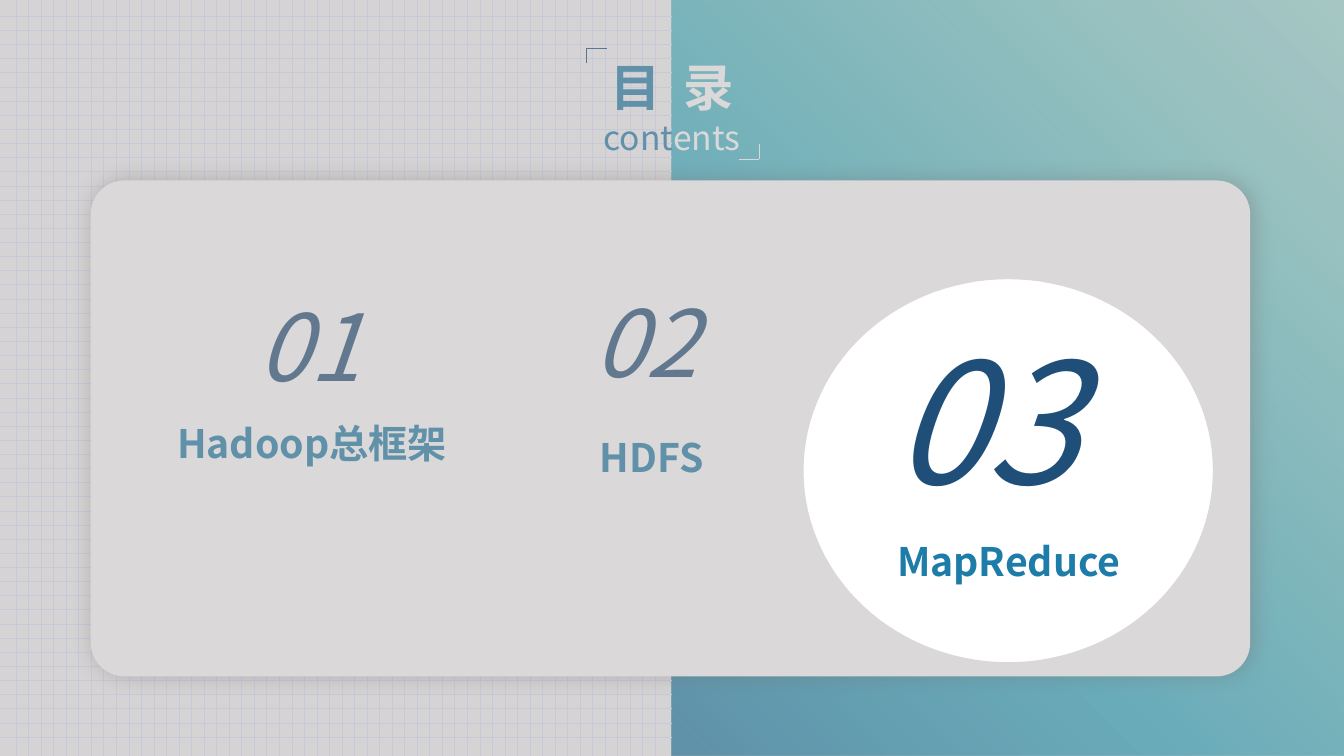
from dataclasses import dataclass
from math import cos, pi, sin

from lxml.etree import SubElement
from pptx import Presentation
from pptx.dml.color import RGBColor
from pptx.enum.shapes import MSO_CONNECTOR as Connector, MSO_SHAPE as Shape
from pptx.enum.text import MSO_AUTO_SIZE as AutoSize, PP_ALIGN as Align
from pptx.oxml.ns import qn
from pptx.util import Inches, Pt


@dataclass(frozen=True)
class Theme:
    font: str = "Noto Sans CJK SC"
    paper: str = "F7F5F6"
    grid: str = "D9E3FF"
    white: str = "FFFFFF"
    blue: str = "1E7CA8"
    navy: str = "1F4E79"
    corner: str = "0D4E81"
    veil: str = "AFABAB"
    shadow: str = "404040"
    title: int = 36
    subtitle: int = 24
    label: int = 28
    number: int = 66
    active_number: int = 120


theme = Theme()

# Content: runs with their colours, then number and label of each section
TITLE = [("目", theme.blue), (" ", theme.blue), ("录", theme.white)]
SUBTITLE = [("cont", theme.blue), ("ents", theme.white)]
SECTIONS = [  # number, number position, number size, label, label position
    ("01", (2.46, 2.82), theme.number, "Hadoop总框架", (1.44, 4.11)),
    ("02", (5.79, 2.78), theme.number, "HDFS", (4.81, 4.25)),
    ("03", (8.74, 3.09), theme.active_number, "MapReduce", (8.35, 5.28)),
]
GRADIENT = [(0, "80D6CE", 72), (32, "5CC5C9", 90), (65, "19A5C1", 89), (100, "1E7CA8", 100)]

# Layout in inches
WIDTH, HEIGHT = 13.33, 7.5
HALF = WIDTH / 2
GRID_COUNT, GRID_START = 52, 0.16
ROW_STEP, COLUMN_STEP = 7.15 / 51, 6.34 / 51
CARD = (0.9, 1.79, 11.5, 4.92)
TITLE_BOX = (4.56, 0.51, 4.21, 1.11)
CORNERS = [(5.82, 0.48, 1, theme.corner), (7.53, 1.58, -1, theme.white)]
SPOT_X, SPOT_Y, SPOT_RX, SPOT_RY = 10, 4.67, 2.03, 1.9
SPOT_POINTS = 120


def add_color(parent, color, opacity):
    element = SubElement(parent, qn("a:srgbClr"), val=color)
    SubElement(element, qn("a:alpha"), val=str(opacity * 1000))
    return element


def add_box(shapes, kind, at, color):
    shape = shapes.add_shape(kind, *map(Inches, at))
    shape.shadow.inherit = False
    shape.fill.solid()
    shape.fill.fore_color.rgb = RGBColor.from_string(color)
    shape.line.fill.background()
    return shape


def add_line(shapes, start, end, color, width):
    line = shapes.add_connector(Connector.STRAIGHT, *map(Inches, (*start, *end)))
    line.line.color.rgb = RGBColor.from_string(color)
    line.line.width = Pt(width)
    SubElement(line.element.spPr, qn("a:effectLst"))


def add_text_box(shapes, at):
    frame = shapes.add_textbox(*map(Inches, at)).text_frame
    frame.word_wrap = True
    frame.auto_size = AutoSize.SHAPE_TO_FIT_TEXT
    return frame


def write(paragraph, runs, size, align, bold=False, italic=False):
    paragraph.alignment = align
    font = paragraph.font
    font.name, font.size, font.bold, font.italic = theme.font, Pt(size), bold, italic
    defaults = paragraph._p.pPr.find(qn("a:defRPr"))
    SubElement(defaults, qn("a:ea"), typeface=theme.font)
    for text, color in runs:
        run = paragraph.add_run()
        run.text = text
        run.font.color.rgb = RGBColor.from_string(color)
        if text == " ":  # widen the gap between the title characters
            run._r.get_or_add_rPr().set("spc", "800")


def add_gradient_half(shapes):
    panel = add_box(shapes, Shape.RECTANGLE, (HALF, 0, HALF, HEIGHT), theme.blue)
    panel.fill.gradient()
    gradient = panel.element.spPr.find(qn("a:gradFill"))
    for child in list(gradient):
        gradient.remove(child)
    stops = SubElement(gradient, qn("a:gsLst"))
    for position, color, opacity in GRADIENT:
        stop = SubElement(stops, qn("a:gs"), pos=str(position * 1000))
        add_color(stop, color, opacity)
    radial = SubElement(gradient, qn("a:path"), {"path": "circle"})
    SubElement(radial, qn("a:fillToRect"), l="100000", b="100000")


def add_grid(shapes):
    grid = shapes.add_group_shape().shapes
    for index in range(GRID_COUNT):
        y = GRID_START + index * ROW_STEP
        add_line(grid, (0, y), (HALF, y), theme.grid, 0.25)
    for index in range(GRID_COUNT):
        x = GRID_START + index * COLUMN_STEP
        add_line(grid, (x, 0), (x, HEIGHT), theme.grid, 0.5)


def add_card(shapes):
    card = add_box(shapes, Shape.ROUNDED_RECTANGLE, CARD, theme.white)
    card.adjustments[0] = 0.068
    effects = card.element.spPr.find(qn("a:effectLst"))
    shadow = SubElement(effects, qn("a:outerShdw"), blurRad=str(Pt(15)),
                        dist=str(Pt(2)), dir="0", algn="ctr", rotWithShape="0")
    add_color(shadow, theme.shadow, 40)


def add_veil(shapes):
    # Translucent sheet with an elliptical window over the current section
    angles = [-2 * pi * index / SPOT_POINTS for index in range(SPOT_POINTS)]
    window = [(SPOT_X + SPOT_RX * cos(a), SPOT_Y + SPOT_RY * sin(a)) for a in angles]
    sheet = [(0, 0), (WIDTH, 0), (WIDTH, HEIGHT), (0, HEIGHT)]
    builder = shapes.build_freeform(0, 0, scale=Inches(1) / 1000)
    for index, outline in enumerate((sheet, window)):
        points = [(round(x * 1000), round(y * 1000)) for x, y in outline]
        if index:
            builder.move_to(*points[0])
        builder.add_line_segments(points[1:], close=True)
    veil = builder.convert_to_shape()
    veil.shadow.inherit = False
    veil.line.fill.background()
    veil.fill.solid()
    veil.fill.fore_color.rgb = RGBColor.from_string(theme.veil)
    color = veil.element.spPr.find(qn("a:solidFill")).find(qn("a:srgbClr"))
    SubElement(color, qn("a:alpha"), val="46000")


def main():
    presentation = Presentation()
    presentation.slide_width, presentation.slide_height = Inches(WIDTH), Inches(HEIGHT)
    slide = presentation.slides.add_slide(presentation.slide_layouts[6])
    slide.background.fill.solid()
    slide.background.fill.fore_color.rgb = RGBColor.from_string(theme.paper)
    shapes = slide.shapes

    # Backdrop
    add_gradient_half(shapes)
    add_grid(shapes)
    add_card(shapes)

    # Heading with its corner marks
    heading = add_text_box(shapes, TITLE_BOX)
    write(heading.paragraphs[0], TITLE, theme.title, Align.CENTER, bold=True)
    write(heading.add_paragraph(), SUBTITLE, theme.subtitle, Align.CENTER)
    for x, y, direction, color in CORNERS:
        mark = shapes.add_group_shape().shapes
        add_line(mark, (x, y), (x + 0.2 * direction, y), color, 0.5)
        add_line(mark, (x, y), (x, y + 0.15 * direction), color, 0.5)

    # Sections
    for number, number_at, size, label, label_at in SECTIONS:
        frame = add_text_box(shapes, (*number_at, 2.18, size / 55))
        write(frame.paragraphs[0], [(number, theme.navy)], size, Align.LEFT, italic=True)
        frame = add_text_box(shapes, (*label_at, 3.31, 0.57))
        write(frame.paragraphs[0], [(label, theme.blue)], theme.label, Align.CENTER, bold=True)

    add_veil(shapes)
    presentation.save("out.pptx")


if __name__ == "__main__":
    main()
